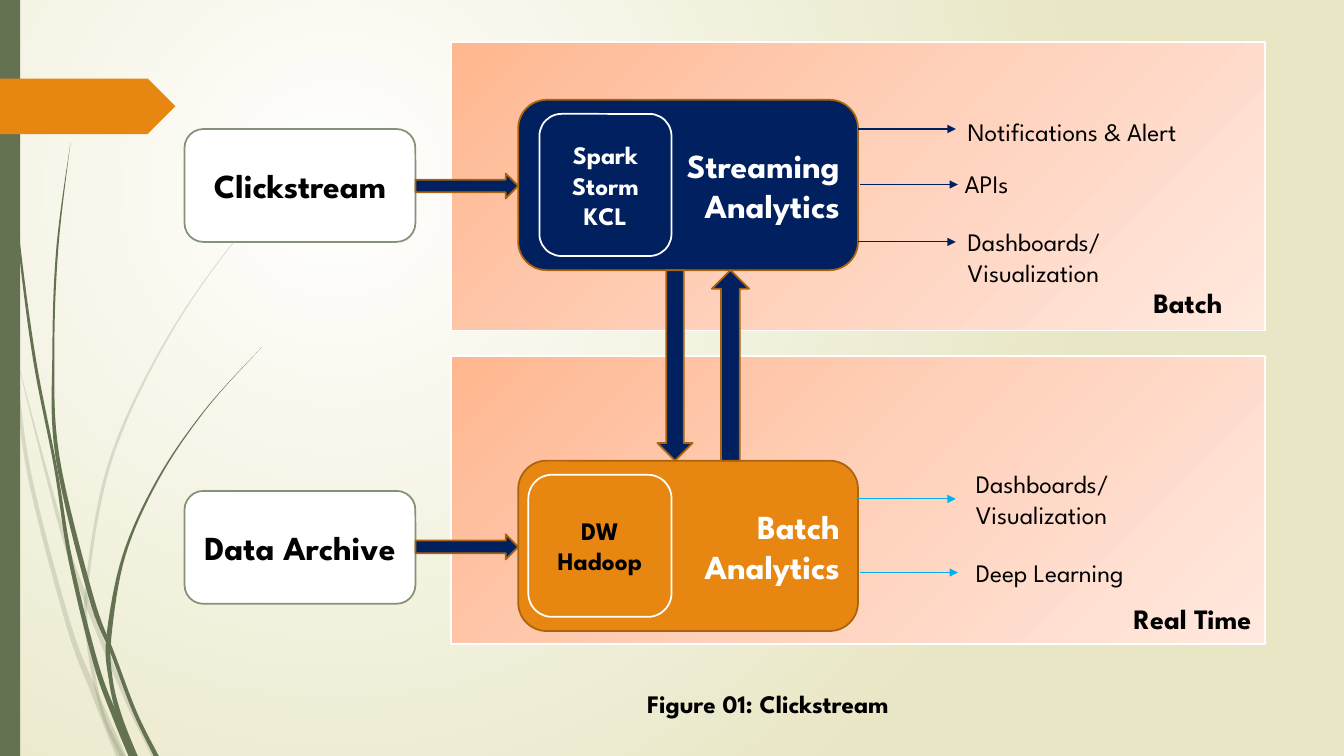
from dataclasses import dataclass
from typing import Optional

from lxml import etree
from pptx import Presentation
from pptx.dml.color import RGBColor
from pptx.enum.shapes import MSO_CONNECTOR, MSO_SHAPE
from pptx.enum.text import MSO_ANCHOR, PP_ALIGN
from pptx.oxml import parse_xml
from pptx.oxml.ns import nsdecls, qn
from pptx.util import Inches, Pt

RECTANGLE, ROUNDED = MSO_SHAPE.RECTANGLE, MSO_SHAPE.ROUNDED_RECTANGLE
RIGHT_ARROW, RIBBON = MSO_SHAPE.RIGHT_ARROW, MSO_SHAPE.PENTAGON
DOWN_ARROW, UP_ARROW = MSO_SHAPE.DOWN_ARROW, MSO_SHAPE.UP_ARROW
STRAIGHT = MSO_CONNECTOR.STRAIGHT
LEFT, CENTER, RIGHT = PP_ALIGN.LEFT, PP_ALIGN.CENTER, PP_ALIGN.RIGHT
TOP, MIDDLE = MSO_ANCHOR.TOP, MSO_ANCHOR.MIDDLE


@dataclass(frozen=True)
class Theme:
    """Colours, font and type sizes of the slide."""
    font: str = "League Spartan"
    black: str = "000000"
    white: str = "FFFFFF"
    navy: str = "002060"
    orange: str = "E78712"
    brown: str = "AB640D"
    green: str = "647252"
    sage: str = "849276"
    cyan: str = "00B0F0"
    backdrop: tuple = ((0, "FFFFFF"), (100, "E8E6C4"))
    panel: tuple = ((0, "FFB790"), (50, "FFD1BB"), (100, "FFE8DE"))
    heading: int = 24
    label: int = 20
    body: int = 18
    outline: float = 1.25
    thin: float = 0.75


@dataclass(frozen=True)
class Lane:
    """Content of one processing lane; offsets are relative to its engine."""
    source: str
    source_top: float
    engine: str
    tools: str
    color: str
    tools_left: float
    tools_width: float
    tools_fill: Optional[str]
    tools_color: str
    arrow_color: str
    outputs: tuple


THEME = Theme()
STREAMING = Lane(
    "Clickstream", 0.29, "Streaming\nAnalytics", "Spark\nStorm\nKCL", THEME.navy,
    0.21, 1.31, THEME.navy, THEME.white, THEME.navy,
    (("Notifications & Alert", 3.37, 0.29, 4.36, 0.11, 0.4),
     ("APIs", 3.39, 0.84, 4.33, 0.63, 0.4),
     ("Dashboards/\nVisualization", 3.37, 1.41, 4.36, 1.21, 0.71)))
BATCH = Lane(
    "Data Archive", 0.3, "Batch\nAnalytics", "DW\nHadoop", THEME.orange,
    0.1, 1.42, None, THEME.black, THEME.cyan,
    (("Dashboards/\nVisualization", 3.37, 0.38, 4.44, 0.03, 0.71),
     ("Deep Learning", 3.39, 1.11, 4.44, 0.91, 0.4)))

PALE_BLADES = (
    ((0, 2.9, 0.03), (0.13, 3.5, 0.03), (0.29, 4.7, 0.04), (0.68, 6.2, 0.05),
     (0.94, 6.88, 0.07), (1.2, 7.5, 0.1)),
    ((0.14, 3.45, 0), (0.6, 5.21, 0.04), (0.86, 5.97, 0.05),
     (1.25, 6.93, 0.04), (1.53, 7.5, 0.05)),
    ((3.12, 1.53, 0), (2.28, 2.45, 0.01), (1.59, 3.48, 0.02),
     (1.08, 4.62, 0.03), (0.86, 5.84, 0.03), (0.89, 6.46, 0.04),
     (1.02, 7.08, 0.03), (1.21, 7.5, 0.05)))
DARK_BLADES = (
    ((0.03, 0, 0.01), (0.07, 1.1, 0.01), (0.18, 2.33, 0.02),
     (0.34, 3.55, 0.03), (0.55, 4.63, 0.03), (0.7, 5.56, 0.04),
     (0.95, 6.58, 0.05), (1.14, 7.1, 0.06), (1.32, 7.5, 0.09)),
    ((0.7, 1.41, 0), (0.57, 2.45, 0.02), (0.53, 3.49, 0.02),
     (0.57, 4.53, 0.04), (0.9, 5.91, 0.05), (1.12, 6.49, 0.04),
     (1.34, 7.07, 0.04), (1.55, 7.5, 0.05)),
    ((2.6, 3.44, 0), (2.04, 4.06, 0.01), (1.57, 4.75, 0.02),
     (1.23, 5.51, 0.03), (1.08, 6.32, 0.05), (1.1, 6.75, 0.04),
     (1.19, 7.12, 0.05), (1.34, 7.5, 0.05)))


def set_gradient(fill, owner, stops, direction):
    """Give a fill the listed gradient stops and direction element."""
    fill.gradient()
    gradient = next(owner.iter(qn("a:gradFill")))
    for child in list(gradient):
        gradient.remove(child)
    stop_list = etree.SubElement(gradient, qn("a:gsLst"))
    for position, color in stops:
        stop = etree.SubElement(stop_list, qn("a:gs"), pos=str(position * 1000))
        etree.SubElement(stop, qn("a:srgbClr"), val=color)
    gradient.append(parse_xml(direction))


def style_shape(shape, fill=None, line=None):
    """Set the fill and outline of a shape and clear its shadow."""
    shape.shadow.inherit = False
    if fill:
        shape.fill.solid()
        shape.fill.fore_color.rgb = RGBColor.from_string(fill)
    else:
        shape.fill.background()
    if line:
        shape.line.color.rgb = RGBColor.from_string(line)
        shape.line.width = Pt(THEME.outline)
    else:
        shape.line.fill.background()
    return shape


def add_block(slide, kind, box, fill=None, line=None):
    """Add a preset shape in a box given in inches."""
    shape = slide.shapes.add_shape(kind, *map(Inches, box))
    return style_shape(shape, fill, line)


def write_text(shape, text, size=THEME.body, color=THEME.black, bold=False,
               align=LEFT, anchor=TOP):
    """Write each line of text as a formatted paragraph."""
    frame = shape.text_frame
    frame.word_wrap = True
    frame.vertical_anchor = anchor
    frame.text = text
    for paragraph in frame.paragraphs:
        paragraph.alignment = align
        font = paragraph.font
        font.name, font.size, font.bold = THEME.font, Pt(size), bold
        font.color.rgb = RGBColor.from_string(color)


def add_label(slide, box, text, **text_format):
    """Add a text box with formatted text."""
    write_text(slide.shapes.add_textbox(*map(Inches, box)), text, **text_format)


def add_output_arrow(slide, left, top, color):
    """Add a thin horizontal arrow leading to an output."""
    connector = slide.shapes.add_connector(
        STRAIGHT, Inches(left), Inches(top), Inches(left + 0.97), Inches(top))
    connector.line.color.rgb = RGBColor.from_string(color)
    connector.line.width = Pt(THEME.thin)
    line = next(connector.element.iter(qn("a:ln")))
    etree.SubElement(line, qn("a:tailEnd"), type="triangle")
    etree.SubElement(connector.element.spPr, qn("a:effectLst"))


def smooth_spine(points, steps=8):
    """Return points on a smooth curve through the given points."""
    padded = (points[0], *points, points[-1])
    curve = []
    for a, b, c, d in zip(padded, padded[1:], padded[2:], padded[3:]):
        for t in (step / steps for step in range(steps)):
            curve.append(tuple(
                q + t * (r - p) / 2 + t * t * (2 * p - 5 * q + 4 * r - s) / 2
                + t ** 3 * (3 * q - p - 3 * r + s) / 2
                for p, q, r, s in zip(a, b, c, d)))
    return curve + [points[-1]]


def draw_blade(slide, points, opacity):
    """Draw one tapered blade of grass along its spine."""
    spine = smooth_spine(points)
    outline = [(x - width / 2, y) for x, y, width in spine]
    outline += [(x + width / 2, y) for x, y, width in reversed(spine)]
    outline = [(Inches(max(x, 0)), Inches(y)) for x, y in outline]
    builder = slide.shapes.build_freeform(*outline[0])
    builder.add_line_segments(outline[1:], close=True)
    blade = style_shape(builder.convert_to_shape(), THEME.green)
    color = next(blade.element.spPr.iter(qn("a:srgbClr")))
    etree.SubElement(color, qn("a:alpha"), val=str(opacity * 1000))


def draw_backdrop(slide, height):
    """Draw the background, the grass, the side bar and the ribbon."""
    set_gradient(slide.background.fill, slide.element, THEME.backdrop,
                 f'<a:path {nsdecls("a")} path="circle"><a:fillToRect '
                 'l="50000" t="50000" r="100000" b="100000"/></a:path>')
    for blades, opacity in ((PALE_BLADES, 20), (DARK_BLADES, 100)):
        for points in blades:
            draw_blade(slide, points, opacity)
    add_block(slide, RECTANGLE, (0, 0, 0.2, height), THEME.green)
    add_block(slide, RIBBON, (0, 0.78, 1.74, 0.55), THEME.orange)


def draw_panel(slide, box, text, label_box, align):
    """Draw a shaded panel with its name in the lower right."""
    panel = add_block(slide, RECTANGLE, box, line=THEME.white)
    set_gradient(panel.fill, panel.element, THEME.panel,
                 f'<a:lin {nsdecls("a")} ang="2700000" scaled="0"/>')
    left, top, width, height = label_box
    add_label(slide, (box[0] + left, box[1] + top, width, height), text,
              size=THEME.label, bold=True, align=align)


def draw_lane(slide, left, top, lane):
    """Draw a source, its engine and outputs from the engine's corner."""
    source = add_block(slide, ROUNDED, (left - 3.31, top + lane.source_top, 2.29, 1.12),
                       THEME.white, THEME.sage)
    write_text(source, lane.source, size=THEME.heading, bold=True,
               align=CENTER, anchor=MIDDLE)
    engine = add_block(slide, ROUNDED, (left, top, 3.37, 1.69), lane.color, THEME.brown)
    write_text(engine, lane.engine, size=THEME.heading, color=THEME.white,
               bold=True, align=RIGHT, anchor=MIDDLE)
    tools = add_block(slide, ROUNDED, (left + lane.tools_left, top + 0.14, lane.tools_width, 1.41),
                      lane.tools_fill, THEME.white)
    write_text(tools, lane.tools, color=lane.tools_color, bold=True,
               align=CENTER, anchor=MIDDLE)
    add_block(slide, RIGHT_ARROW, (left - 1.02, top + 0.73, 1.02, 0.25), THEME.navy, THEME.brown)
    for text, arrow_left, arrow_top, text_left, text_top, height in lane.outputs:
        add_output_arrow(slide, left + arrow_left, top + arrow_top, lane.arrow_color)
        add_label(slide, (left + text_left, top + text_top, 2.67, height), text)


def main():
    """Build the slide and save it."""
    presentation = Presentation()
    presentation.slide_width, presentation.slide_height = Inches(13.33), Inches(7.5)
    slide = presentation.slides.add_slide(presentation.slide_layouts[6])
    draw_backdrop(slide, 7.5)
    draw_panel(slide, (4.47, 0.42, 8.08, 2.86), "Batch", (6.87, 2.36, 1.23, 0.44), LEFT)
    draw_panel(slide, (4.47, 3.53, 8.08, 2.86), "Real Time", (6.33, 2.39, 1.71, 0.44), RIGHT)
    draw_lane(slide, 5.14, 0.99, STREAMING)
    draw_lane(slide, 5.14, 4.57, BATCH)
    for kind, left, width in ((DOWN_ARROW, 6.52, 0.35), (UP_ARROW, 7.06, 0.37)):
        add_block(slide, kind, (left, 2.68, width, 1.89), THEME.navy, THEME.brown)
    add_label(slide, (6.32, 6.78, 3.26, 0.4), "Figure 01: Clickstream", bold=True)
    presentation.save("out.pptx")


if __name__ == "__main__":
    main()
